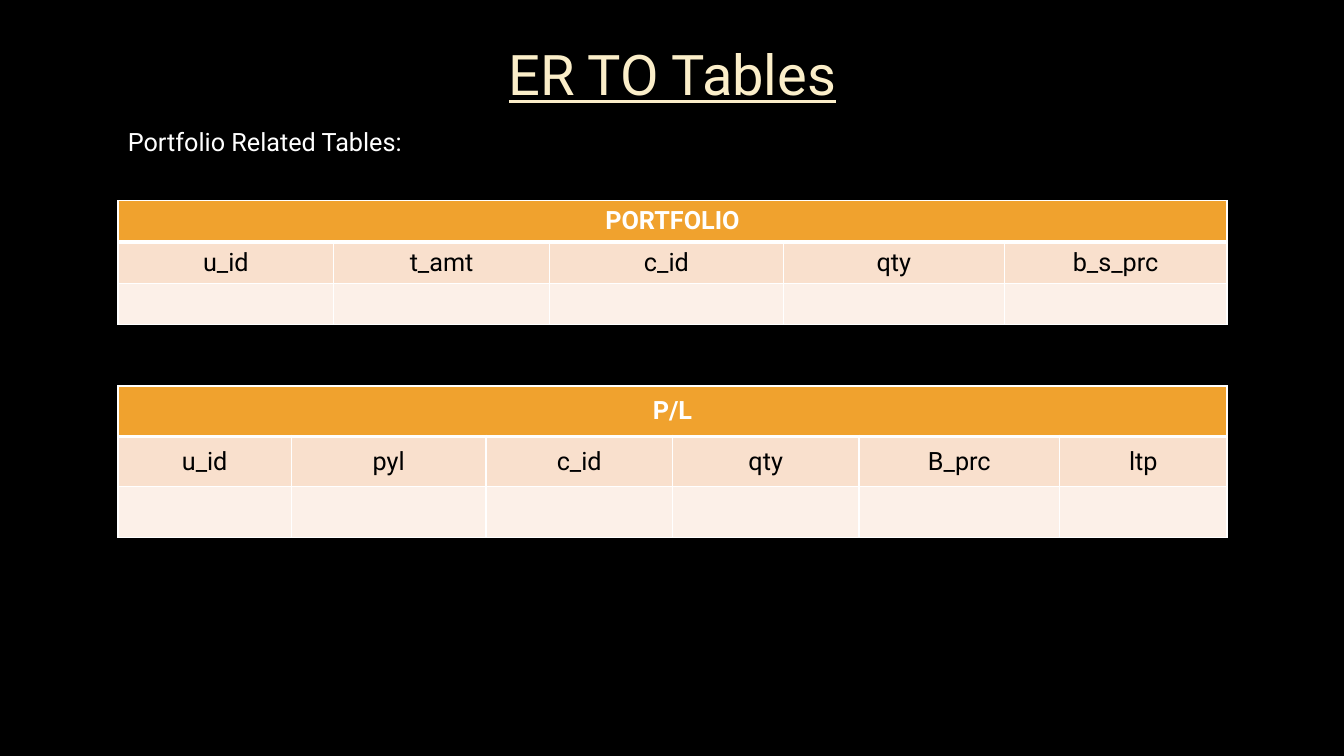
import pptx
import pptx.dml.color
import pptx.enum.text
import pptx.oxml.ns
import pptx.util
import lxml.etree

ALIGN = pptx.enum.text.PP_ALIGN
ANCHOR = pptx.enum.text.MSO_ANCHOR
MARGIN, CONTENT_WIDTH = 1.17, 11


def color(value):
    return pptx.dml.color.RGBColor.from_string(value)


def write(frame, text, size=18, tint="000000", bold=False, underline=False,
          align=ALIGN.LEFT, anchor=ANCHOR.TOP, font="Roboto"):
    frame.word_wrap = True
    frame.vertical_anchor = anchor
    para = frame.paragraphs[0]
    para.alignment = align
    span = para.add_run()
    span.text = text
    span.font.name = font
    span.font.size = pptx.util.Pt(size)
    span.font.bold = bold
    span.font.underline = underline
    span.font.color.rgb = color(tint)


class SlideBuilder:
    header_fill, field_fill, blank_fill = "F0A22E", "F9E0CD", "FCF0E8"
    title_tint, light = "FBEEC9", "FFFFFF"
    thin, thick = 1, 3

    def __init__(self, deck):
        self.page = deck.slides.add_slide(deck.slide_layouts[5])
        self.page.background.fill.solid()
        self.page.background.fill.fore_color.rgb = color("000000")

    def title(self, text, top, height):
        box = self.page.shapes.title
        box.left, box.top, box.width, box.height = map(
            pptx.util.Inches, (MARGIN, top, CONTENT_WIDTH, height))
        write(box.text_frame, text, size=40, tint=self.title_tint, underline=True,
              align=ALIGN.CENTER, anchor=ANCHOR.MIDDLE)

    def caption(self, text, top, width, height):
        box = self.page.shapes.add_textbox(
            *map(pptx.util.Inches, (MARGIN, top, width, height)))
        write(box.text_frame, text, tint=self.light)

    def border(self, cell, side, points):
        line = lxml.etree.SubElement(
            cell._tc.get_or_add_tcPr(), pptx.oxml.ns.qn("a:ln" + side),
            w=str(pptx.util.Pt(points)))
        fill = lxml.etree.SubElement(line, pptx.oxml.ns.qn("a:solidFill"))
        lxml.etree.SubElement(fill, pptx.oxml.ns.qn("a:srgbClr"), val=self.light)

    def table(self, name, fields, widths, top, row_height):
        fills = (self.header_fill, self.field_fill, self.blank_fill)
        table = self.page.shapes.add_table(
            len(fills), len(fields),
            *map(pptx.util.Inches,
                 (MARGIN, top, CONTENT_WIDTH, row_height * len(fills)))).table
        for column, width in zip(table.columns, widths):
            column.width = pptx.util.Inches(width)

        # Borders and fills, with a thick rule under the header
        for index, fill in enumerate(fills):
            table.rows[index].height = pptx.util.Inches(row_height)
            for cell in table.rows[index].cells:
                self.border(cell, "L", self.thin)
                self.border(cell, "R", self.thin)
                self.border(cell, "T", self.thick if index == 1 else self.thin)
                self.border(cell, "B", self.thick if index == 0 else self.thin)
                cell.fill.solid()
                cell.fill.fore_color.rgb = color(fill)

        # Header across all columns, then the field names
        header = table.cell(0, 0)
        header.merge(table.cell(0, len(fields) - 1))
        self.cell_text(header, name, tint=self.light, bold=True)
        for index, field in enumerate(fields):
            self.cell_text(table.cell(1, index), field)

    def cell_text(self, cell, text, **style):
        write(cell.text_frame, text, align=ALIGN.CENTER, **style)
        cell.vertical_anchor = ANCHOR.MIDDLE


def main():
    deck = pptx.Presentation()
    deck.slide_width = pptx.util.Inches(13.33)
    deck.slide_height = pptx.util.Inches(7.5)
    builder = SlideBuilder(deck)

    # Heading
    builder.title("ER TO Tables", top=-0.15, height=1.76)
    builder.caption("Portfolio Related Tables:", top=1.2, width=6.48, height=0.4)

    # Tables
    builder.table("PORTFOLIO", ["u_id", "t_amt", "c_id", "qty", "b_s_prc"],
                  [2.14, 2.14, 2.32, 2.19, 2.21], top=1.99, row_height=0.41)
    builder.table("P/L", ["u_id", "pyl", "c_id", "qty", "B_prc", "ltp"],
                  [1.72, 1.93, 1.85, 1.85, 1.99, 1.66], top=3.83, row_height=0.5)

    deck.save("out.pptx")


if __name__ == "__main__":
    main()
